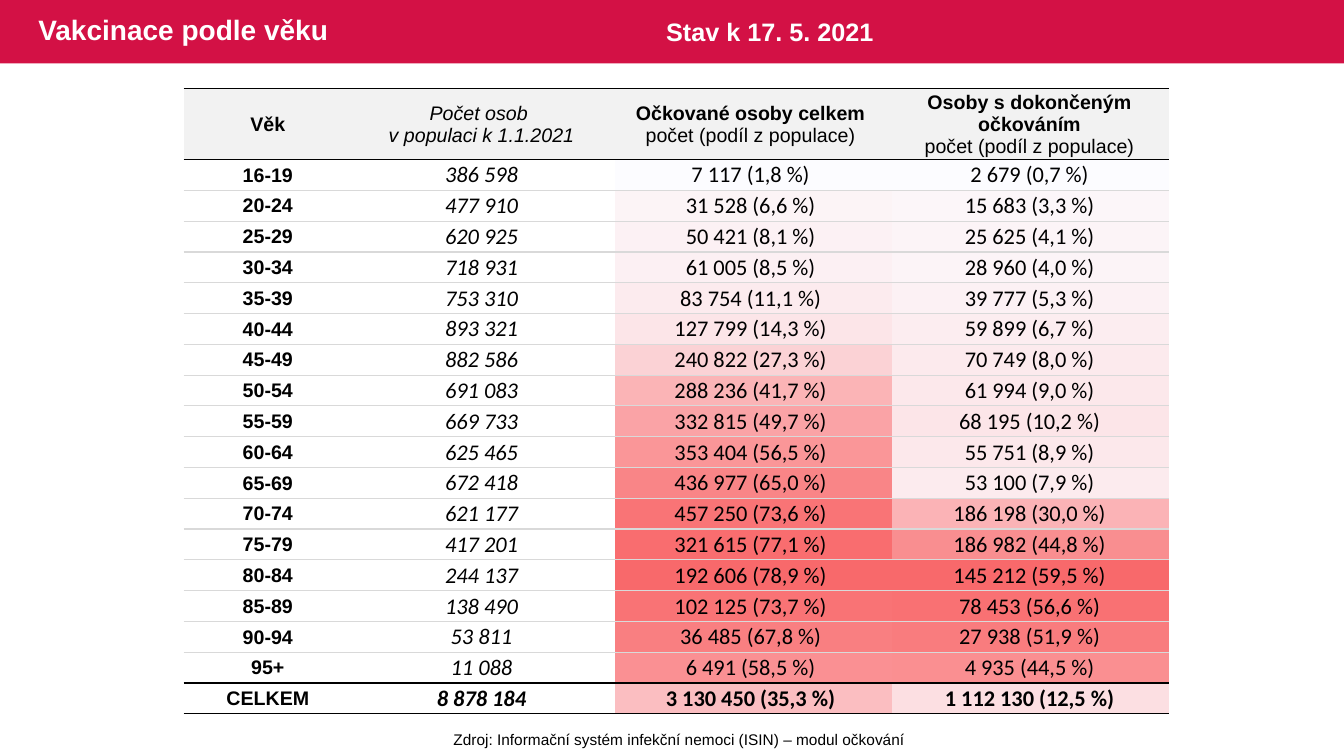
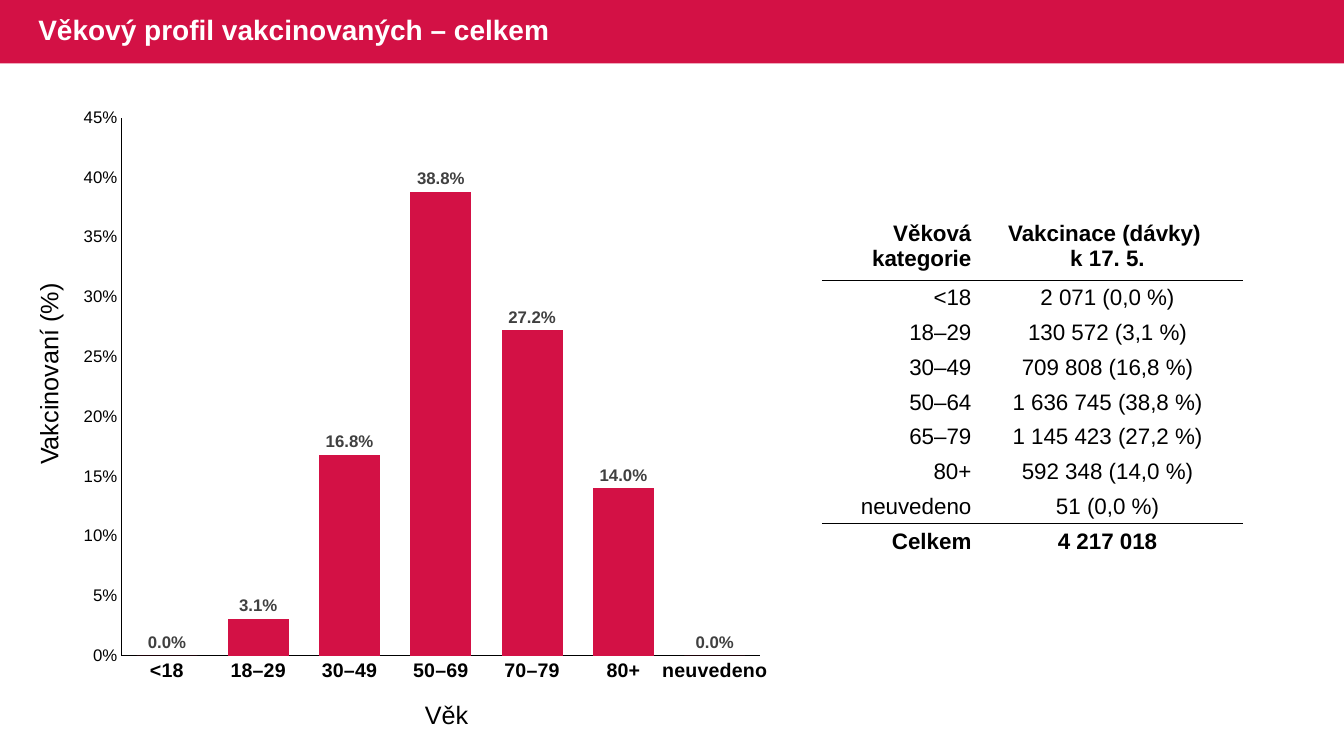
import lxml.etree
import pptx
import pptx.chart.data
import pptx.dml.color
import pptx.enum.chart
import pptx.enum.shapes
import pptx.enum.text
import pptx.oxml.ns
import pptx.util

Cm = pptx.util.Cm
Pt = pptx.util.Pt
RGBColor = pptx.dml.color.RGBColor
PP_ALIGN = pptx.enum.text.PP_ALIGN
MIDDLE = pptx.enum.text.MSO_ANCHOR.MIDDLE
qn = pptx.oxml.ns.qn

CRIMSON = RGBColor(0xD3, 0x11, 0x45)
BLACK = RGBColor(0, 0, 0)
WHITE = RGBColor(0xFF, 0xFF, 0xFF)
DARK_GREY = RGBColor(0x40, 0x40, 0x40)
RULE_GREY = RGBColor(0xD9, 0xD9, 0xD9)
HEADER_GREY = RGBColor(0xF2, 0xF2, 0xF2)
HEAT_VACCINATED = [RGBColor.from_string(c) for c in (
    "FCFCFF FCF4F6 FCF1F4 FCF0F3 FCEBEE FCE5E8 FBD2D5 FBB4B6 FAA3A6 "
    "FA9698 F98587 F97476 F96D6F F8696B F97375 F97F81 FA9093 FBBEC1").split()]
HEAT_COMPLETED = [RGBColor.from_string(c) for c in (
    "FCFCFF FCF6F9 FCF4F7 FCF4F7 FCF1F4 FCEDF0 FCEAED FCE8EB FCE5E8 "
    "FCE8EB FCEBEE FBB3B6 F98E90 F8696B F97173 F97C7E FA8F91 FCDFE2").split()]

SLIDE_W, SLIDE_H = Cm(33.87), Cm(19.05)
BAND_H = Cm(1.6)
NO_STYLE = "{2D5ABB26-0587-4C30-8999-92F81FD0307C}"

TITLE = {"name": "Arial", "size": Pt(20), "bold": True, "color": WHITE}
STATUS = {**TITLE, "size": Pt(18)}
SOURCE = {"name": "Arial", "size": Pt(11), "color": BLACK}
AXIS_TITLE = {"name": "Arial", "size": Pt(18), "color": BLACK}
PLAIN = {"name": "Arial", "size": Pt(14), "bold": False, "color": BLACK}
BOLD = {**PLAIN, "bold": True}
ITALIC = {**PLAIN, "italic": True}
NUMBER = {**PLAIN, "name": "Calibri", "size": Pt(16)}
PROFILE = {**PLAIN, "size": Pt(16)}

AGE_HEADER = [
    [("Věk", BOLD)],
    [("Počet osob ", ITALIC), ("v populaci k 1.1.2021", ITALIC)],
    [("Očkované osoby celkem", BOLD), ("počet (podíl z populace)", PLAIN)],
    [("Osoby s dokončeným očkováním", BOLD), ("počet (podíl z populace)", PLAIN)],
]
AGE_ROWS = [
    ("16-19", "386 598", "7 117 (1,8 %)", "2 679 (0,7 %)"),
    ("20-24", "477 910", "31 528 (6,6 %)", "15 683 (3,3 %)"),
    ("25-29", "620 925", "50 421 (8,1 %)", "25 625 (4,1 %)"),
    ("30-34", "718 931", "61 005 (8,5 %)", "28 960 (4,0 %)"),
    ("35-39", "753 310", "83 754 (11,1 %)", "39 777 (5,3 %)"),
    ("40-44", "893 321", "127 799 (14,3 %)", "59 899 (6,7 %)"),
    ("45-49", "882 586", "240 822 (27,3 %)", "70 749 (8,0 %)"),
    ("50-54", "691 083", "288 236 (41,7 %)", "61 994 (9,0 %)"),
    ("55-59", "669 733", "332 815 (49,7 %)", "68 195 (10,2 %)"),
    ("60-64", "625 465", "353 404 (56,5 %)", "55 751 (8,9 %)"),
    ("65-69", "672 418", "436 977 (65,0 %)", "53 100 (7,9 %)"),
    ("70-74", "621 177", "457 250 (73,6 %)", "186 198 (30,0 %)"),
    ("75-79", "417 201", "321 615 (77,1 %)", "186 982 (44,8 %)"),
    ("80-84", "244 137", "192 606 (78,9 %)", "145 212 (59,5 %)"),
    ("85-89", "138 490", "102 125 (73,7 %)", "78 453 (56,6 %)"),
    ("90-94", "53 811", "36 485 (67,8 %)", "27 938 (51,9 %)"),
    ("95+", "11 088", "6 491 (58,5 %)", "4 935 (44,5 %)"),
    ("CELKEM", "8 878 184", "3 130 450 (35,3 %)", "1 112 130 (12,5 %)"),
]
PROFILE_HEADER = [["Věková kategorie"], ["Vakcinace (dávky) ", "k 17. 5."]]
PROFILE_ROWS = [
    ("<18", "2 071 (0,0 %)"),
    ("18–29", "130 572 (3,1 %)"),
    ("30–49", "709 808 (16,8 %)"),
    ("50–64", "1 636 745 (38,8 %)"),
    ("65–79", "1 145 423 (27,2 %)"),
    ("80+", "592 348 (14,0 %)"),
    ("neuvedeno", "51 (0,0 %)"),
    ("Celkem", "4 217 018"),
]
AGE_SHARES = {"<18": 0, "18–29": 0.031, "30–49": 0.168, "50–69": 0.388,
              "70–79": 0.272, "80+": 0.14, "neuvedeno": 0}


def set_font(font, fmt):
    for name, value in fmt.items():
        if name == "color":
            font.color.rgb = value
        else:
            setattr(font, name, value)


def write(tf, lines, align=PP_ALIGN.LEFT):
    for i, (text, fmt) in enumerate(lines):
        p = tf.add_paragraph() if i else tf.paragraphs[0]
        p.alignment = align
        r = p.add_run()
        r.text = text
        set_font(r.font, fmt)


def add_label(s, box, text, fmt, align=PP_ALIGN.LEFT, wrap=False, rotation=0):
    sp = s.shapes.add_textbox(*box)
    sp.rotation = rotation
    sp.text_frame.word_wrap = wrap
    write(sp.text_frame, [(text, fmt)], align)


def add_band(layout, s):
    band = s.shapes.add_shape(pptx.enum.shapes.MSO_SHAPE.RECTANGLE, 0, 0, SLIDE_W, BAND_H)
    band.shadow.inherit = False
    band.fill.solid()
    band.fill.fore_color.rgb = CRIMSON
    band.line.fill.background()
    layout.shapes._spTree.insert(2, band._element)


def add_title(s, text):
    sp = s.shapes.title
    sp.left, sp.top, sp.width, sp.height = Cm(0.71), 0, Cm(20.65), BAND_H
    tf = sp.text_frame
    tf.vertical_anchor = MIDDLE
    tf.auto_size = pptx.enum.text.MSO_AUTO_SIZE.NONE
    write(tf, [(text, TITLE)])
    tf.paragraphs[0].line_spacing = 0.9


def add_border(cell, side, color):
    ln = lxml.etree.SubElement(cell._tc.get_or_add_tcPr(), qn("a:" + side), w=str(Pt(1)))
    fill = lxml.etree.SubElement(ln, qn("a:solidFill"))
    lxml.etree.SubElement(fill, qn("a:srgbClr"), val=str(color))


def add_grid(s, box, widths, header_h, rows):
    table = s.shapes.add_table(len(rows), len(widths), *box).table
    table.first_row = table.horz_banding = False
    table._tbl.tblPr.find(qn("a:tableStyleId")).text = NO_STYLE
    for column, w in zip(table.columns, widths):
        column.width = w
    row_h = (box[3] - header_h) // (len(rows) - 1)
    for i, (row, contents) in enumerate(zip(table.rows, rows)):
        row.height = row_h if i else header_h
        for cell, (lines, align) in zip(row.cells, contents):
            cell.vertical_anchor = MIDDLE
            cell.margin_left = cell.margin_right = cell.margin_top = Cm(0.02)
            cell.margin_bottom = 0
            write(cell.text_frame, lines, align)
            if not lines:
                p = cell.text_frame.paragraphs[0]._p
                lxml.etree.SubElement(p, qn("a:endParaRPr"), sz="1200")
    return table


def paint(cell, color):
    cell.fill.solid()
    cell.fill.fore_color.rgb = color


def add_heat_table(s, box):
    rows = [[([], PP_ALIGN.CENTER)] * 2 for _ in AGE_ROWS]
    table = add_grid(s, box, [box[2] // 2] * 2, box[3] // len(rows), rows)
    for row, colors in zip(table.rows, zip(HEAT_VACCINATED, HEAT_COMPLETED)):
        for cell, color in zip(row.cells, colors):
            paint(cell, color)


def add_age_table(s, box):
    rows = [[(lines, PP_ALIGN.CENTER) for lines in AGE_HEADER]]
    for texts in AGE_ROWS:
        total = texts is AGE_ROWS[-1]
        fmts = [BOLD] + [{**NUMBER, "bold": total, "italic": j == 0} for j in range(3)]
        rows.append([([line], PP_ALIGN.CENTER) for line in zip(texts, fmts)])
    widths = [Cm(4.24), Cm(6.53), Cm(7.03), Cm(7.03)]
    table = add_grid(s, box, widths, Cm(1.8), rows)
    last = len(AGE_ROWS)
    for i, row in enumerate(table.rows):
        for cell in row.cells:
            add_border(cell, "lnT", BLACK if i in (0, 1, last) else RULE_GREY)
            add_border(cell, "lnB", BLACK if i in (0, last - 1, last) else RULE_GREY)
            if i:
                cell.fill.background()
            else:
                paint(cell, HEADER_GREY)


def add_profile_table(s, box):
    aligns = (PP_ALIGN.RIGHT, PP_ALIGN.CENTER)
    rows = []
    for contents in [PROFILE_HEADER] + [[[t] for t in texts] for texts in PROFILE_ROWS]:
        fmt = {**PROFILE, "bold": not rows or len(rows) == len(PROFILE_ROWS)}
        rows.append([([(t, fmt) for t in texts], align) for texts, align in zip(contents, aligns)])
    table = add_grid(s, box, [Cm(3.77), Cm(6.82)], Cm(1.74), rows)
    last = len(PROFILE_ROWS)
    for i, row in enumerate(table.rows):
        for cell in row.cells:
            add_border(cell, "lnL", WHITE)
            add_border(cell, "lnR", WHITE)
            add_border(cell, "lnT", BLACK if i in (1, last) else WHITE)
            add_border(cell, "lnB", BLACK if i in (0, last - 1) else WHITE)
            cell.fill.background()


def add_profile_chart(s, box):
    data = pptx.chart.data.CategoryChartData(number_format="0.0%")
    data.categories = list(AGE_SHARES)
    data.add_series("Series 1", list(AGE_SHARES.values()))
    kind = pptx.enum.chart.XL_CHART_TYPE.COLUMN_CLUSTERED
    chart = s.shapes.add_chart(kind, *box, data).chart
    chart.has_title = chart.has_legend = False
    set_font(chart.font, {**PLAIN, "size": Pt(10)})
    plot = chart.plots[0]
    for name, value in {"gap_width": 50, "overlap": -27, "vary_by_categories": False,
                        "has_data_labels": True}.items():
        setattr(plot, name, value)
    fill = plot.series[0].format.fill
    fill.solid()
    fill.fore_color.rgb = CRIMSON
    plot.series[0].invert_if_negative = False
    labels = plot.data_labels
    for name, value in {"show_value": True, "number_format": "0.0%",
                        "number_format_is_linked": False,
                        "position": pptx.enum.chart.XL_LABEL_POSITION.OUTSIDE_END}.items():
        setattr(labels, name, value)
    set_font(labels.font, {**BOLD, "size": Pt(12), "color": DARK_GREY})
    for axis, fmt in ((chart.category_axis, BOLD), (chart.value_axis, {**PLAIN, "size": Pt(12)})):
        axis.has_major_gridlines = False
        axis.major_tick_mark = axis.minor_tick_mark = pptx.enum.chart.XL_TICK_MARK.NONE
        axis.format.line.color.rgb = BLACK
        axis.format.line.width = Pt(0.75)
        set_font(axis.tick_labels.font, fmt)
    for name, value in {"minimum_scale": 0, "maximum_scale": 0.45, "major_unit": 0.05}.items():
        setattr(chart.value_axis, name, value)
    chart.value_axis.tick_labels.number_format = "0%"
    chart.value_axis.tick_labels.number_format_is_linked = False


def build_age_slide(s):
    add_heat_table(s, (Cm(15.49), Cm(4.02), Cm(13.96), Cm(13.97)))
    add_title(s, "Vakcinace podle věku")
    add_label(s, (Cm(16.54), Cm(0.28), Cm(7.52), Cm(1.02)), "Stav k 17. 5. 2021", STATUS, wrap=True)
    add_label(s, (Cm(11.15), Cm(18.27), Cm(11.94), Cm(0.74)),
              "Zdroj: Informační systém infekční nemoci (ISIN) – modul očkování",
              SOURCE, PP_ALIGN.CENTER)
    add_age_table(s, (Cm(4.63), Cm(2.22), Cm(24.83), Cm(15.77)))


def build_profile_slide(s):
    add_title(s, "Věkový profil vakcinovaných – celkem")
    add_profile_chart(s, (Cm(1.75), Cm(2.44), Cm(17.95), Cm(15.04)))
    add_label(s, (Cm(10.46), Cm(17.49), Cm(1.63), Cm(1.02)), "Věk", AXIS_TITLE)
    add_label(s, (Cm(-1.34), Cm(8.89), Cm(5.13), Cm(1.02)), "Vakcinovaní (%)",
              AXIS_TITLE, rotation=270)
    add_profile_table(s, (Cm(20.73), Cm(5.32), Cm(10.59), Cm(8.76)))


def main():
    prs = pptx.Presentation()
    prs.slide_width, prs.slide_height = SLIDE_W, SLIDE_H
    layout = prs.slide_layouts[5]
    for i, build in enumerate((build_age_slide, build_profile_slide)):
        s = prs.slides.add_slide(layout)
        if i == 0:
            add_band(layout, s)
        build(s)
    prs.save("out.pptx")


if __name__ == "__main__":
    main()
